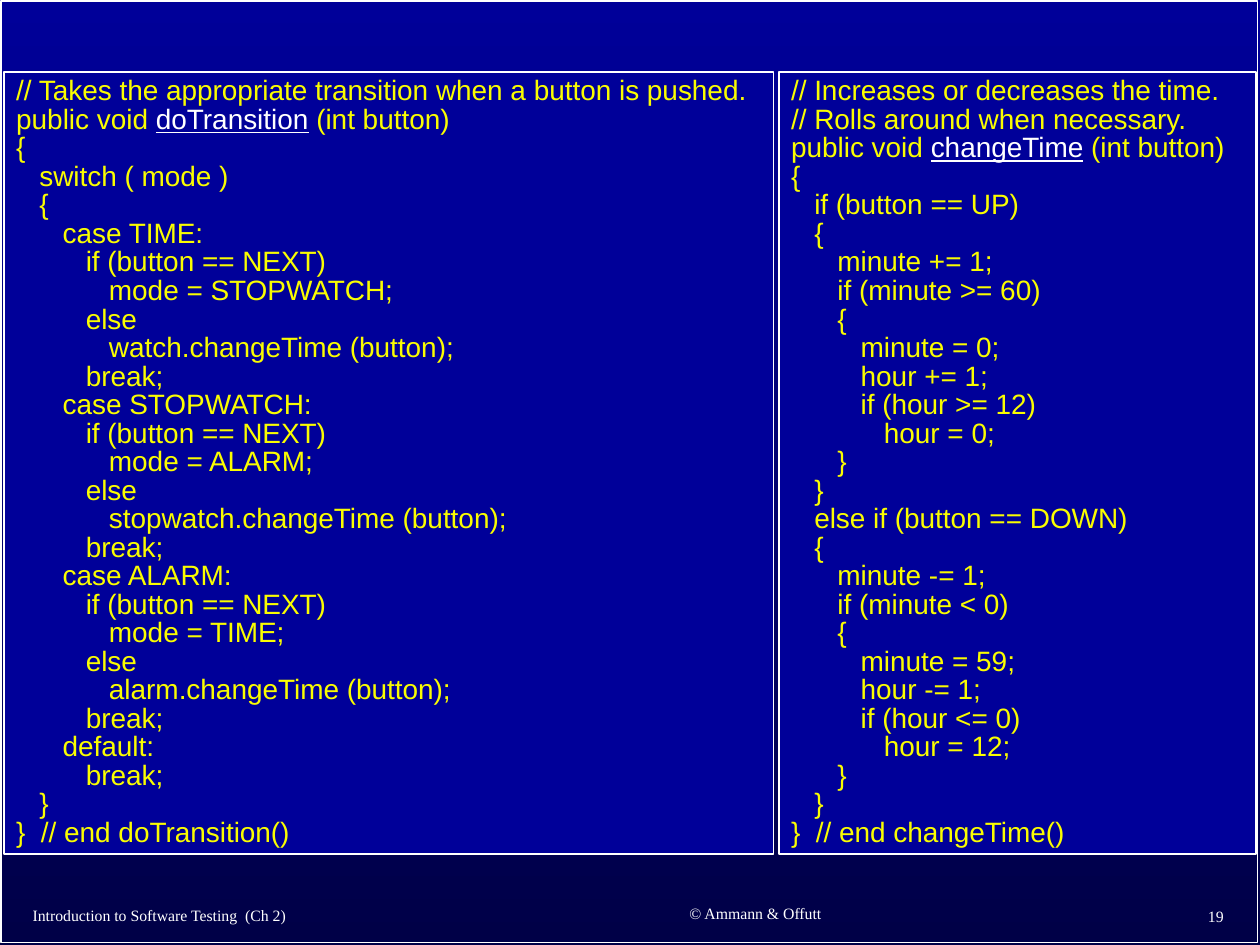
from pptx import Presentation
from pptx.dml.color import RGBColor
from pptx.enum.shapes import MSO_SHAPE
from pptx.enum.text import MSO_ANCHOR, MSO_AUTO_SIZE, PP_ALIGN
from pptx.util import Inches, Pt

COLORS = {"blue": "000099", "navy": "000047", "white": "FFFFFF", "yellow": "FAFD00"}

CODE_FORMAT = {"name": "Arial", "size": Pt(16)}
FOOTER_FORMAT = {"name": "Times New Roman", "size": Pt(9)}

TRANSITION_CODE = """\
// Takes the appropriate transition when a button is pushed.
public void doTransition (int button)
{
   switch ( mode )
   {
      case TIME:
         if (button == NEXT)
            mode = STOPWATCH;
         else
            watch.changeTime (button);
         break;
      case STOPWATCH:
         if (button == NEXT)
            mode = ALARM;
         else
            stopwatch.changeTime (button);
         break;
      case ALARM:
         if (button == NEXT)
            mode = TIME;
         else
            alarm.changeTime (button);
         break;
      default:
         break;
   }
}  // end doTransition()"""

CHANGE_TIME_CODE = """\
// Increases or decreases the time.
// Rolls around when necessary.
public void changeTime (int button)
{
   if (button == UP)
   {
      minute += 1;
      if (minute >= 60)
      {
         minute = 0;
         hour += 1;
         if (hour >= 12)
            hour = 0;
      }
   }
   else if (button == DOWN)
   {
      minute -= 1;
      if (minute < 0)
      {
         minute = 59;
         hour -= 1;
         if (hour <= 0)
            hour = 12;
      }
   }
}  // end changeTime()"""


def rgb(name):
    return RGBColor.from_string(COLORS[name])


def paint_background(page):
    fill = page.background.fill
    fill.gradient()
    fill.gradient_angle = 270
    for stop, name in zip(fill.gradient_stops, ("blue", "navy")):
        stop.color.rgb = rgb(name)


def add_frame(page, left, top, width, height, fill=None):
    """Add a white-edged rectangle, hollow unless a fill is named."""
    frame = page.shapes.add_shape(
        MSO_SHAPE.RECTANGLE, Inches(left), Inches(top), Inches(width), Inches(height))
    frame.shadow.inherit = False
    if fill:
        frame.fill.solid()
        frame.fill.fore_color.rgb = rgb(fill)
    else:
        frame.fill.background()
    frame.line.color.rgb = rgb("white")
    frame.line.width = Pt(1)
    return frame


def add_span(para, text, color, formats):
    span = para.add_run()
    span.text = text
    span.font.color.rgb = rgb(color)
    for name, value in formats.items():
        setattr(span.font, name, value)


def add_code_line(para, line, method):
    """Write one line, underlining the method name where it is declared."""
    para.alignment = PP_ALIGN.LEFT
    para.line_spacing = 0.85
    declaration = "public void "
    if not line.startswith(declaration):
        add_span(para, line, "yellow", CODE_FORMAT)
        return
    add_span(para, declaration, "yellow", CODE_FORMAT)
    add_span(para, method, "white", CODE_FORMAT | {"underline": True})
    add_span(para, line.removeprefix(declaration + method), "yellow", CODE_FORMAT)


def add_code_panel(page, left, width, code, method):
    frame = add_frame(page, left, 0.57, width, 6.21, "blue").text_frame
    frame.word_wrap = True
    frame.auto_size = MSO_AUTO_SIZE.SHAPE_TO_FIT_TEXT
    frame.vertical_anchor = MSO_ANCHOR.TOP
    for index, line in enumerate(code.splitlines()):
        para = frame.add_paragraph() if index else frame.paragraphs[0]
        add_code_line(para, line, method)


def add_footer(page, left, top, width, height, text, alignment):
    box = page.shapes.add_textbox(
        Inches(left), Inches(top), Inches(width), Inches(height))
    box.text_frame.word_wrap = True
    box.text_frame.vertical_anchor = MSO_ANCHOR.MIDDLE
    para = box.text_frame.paragraphs[0]
    para.alignment = alignment
    add_span(para, text, "white", FOOTER_FORMAT)


def main():
    deck = Presentation()
    deck.slide_width, deck.slide_height = Inches(10), Inches(7.5)
    page = deck.slides.add_slide(deck.slide_layouts[6])
    paint_background(page)
    add_frame(page, 0.01, 0.01, 9.97, 7.47)
    add_footer(page, 4.41, 7.05, 3.17, 0.39, "© Ammann & Offutt", PP_ALIGN.CENTER)
    add_footer(page, 7.73, 7.07, 2.08, 0.4, "19", PP_ALIGN.RIGHT)
    add_code_panel(page, 0.03, 6.11, TRANSITION_CODE, "doTransition")
    add_code_panel(page, 6.18, 3.79, CHANGE_TIME_CODE, "changeTime")
    add_footer(page, 0.16, 7.07, 4.09, 0.38,
               "Introduction to Software Testing  (Ch 2)", PP_ALIGN.LEFT)
    deck.save("out.pptx")


if __name__ == "__main__":
    main()
